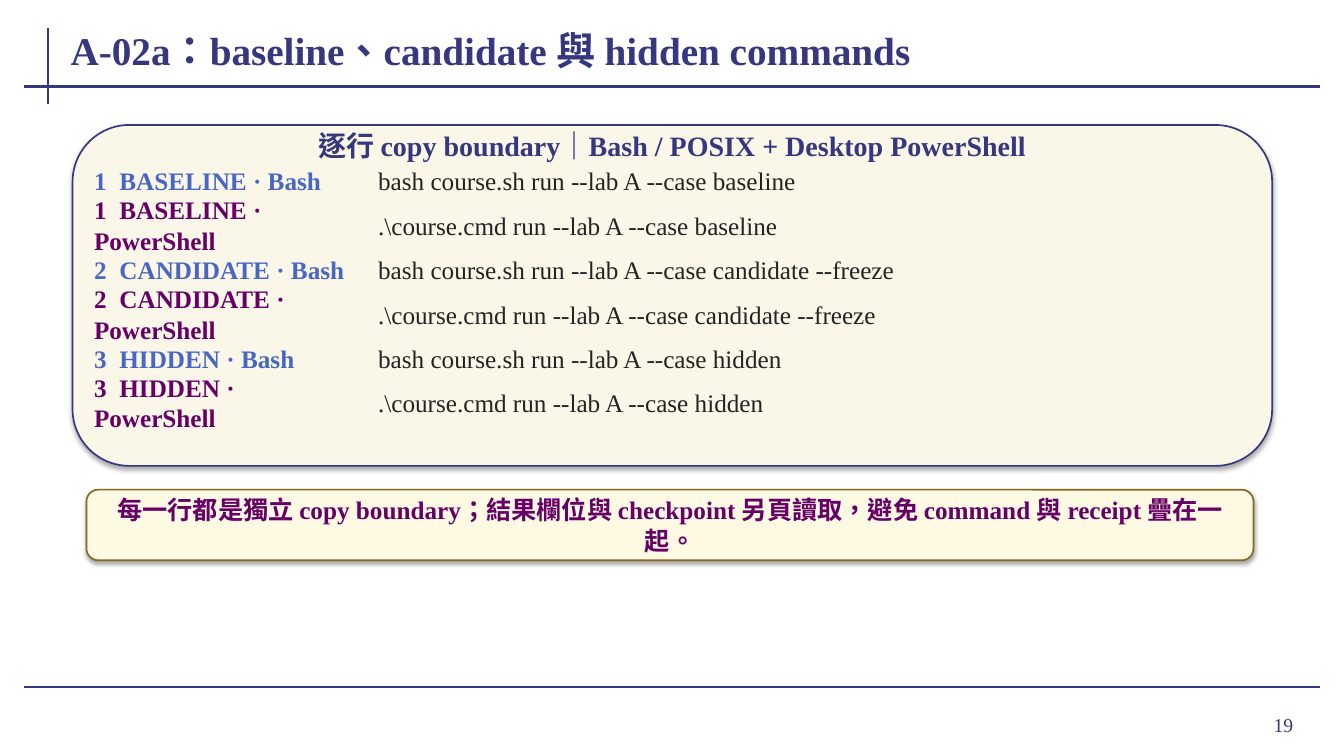
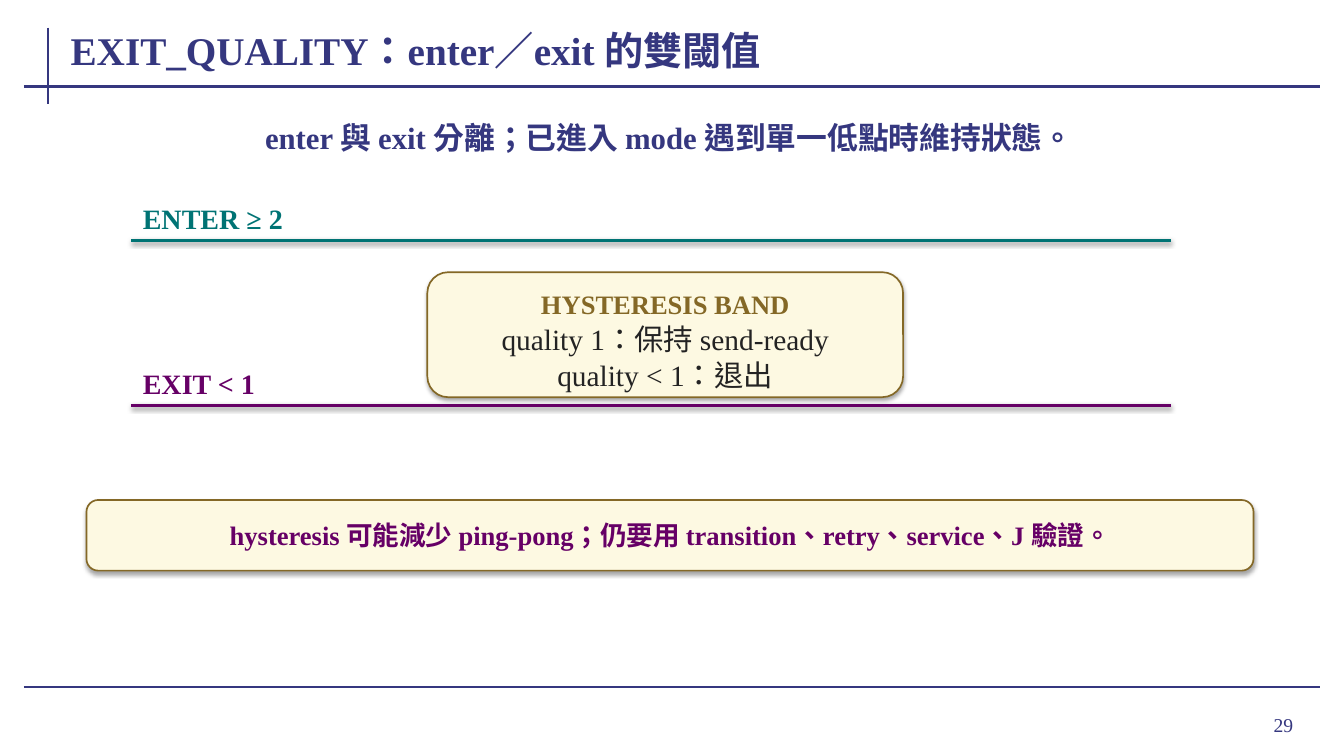
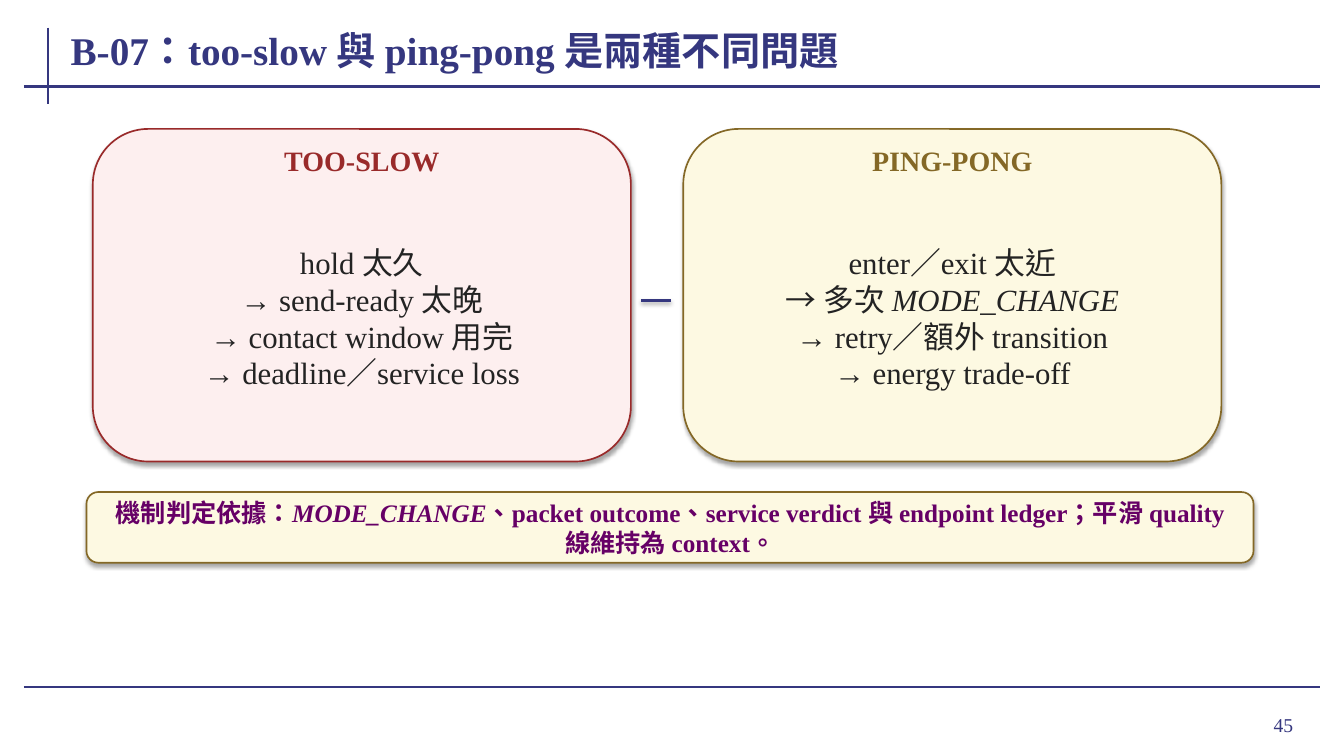
from lxml import etree
from pptx import Presentation
from pptx import util as u
from pptx.dml.color import RGBColor
from pptx.enum import shapes, text
from pptx.enum.lang import MSO_LANGUAGE_ID
from pptx.oxml.ns import qn

Cm = u.Cm
FONT = "Times New Roman"
ITALIC_TERM = "MODE_CHANGE"
COLORS = {
    "navy": "35377F", "blue": "4967C2", "purple": "660066", "teal": "007374",
    "red": "992A2A", "gold": "846826", "ink": "232323", "shadow": "000000",
    "ivory": "FAF7E8", "cream": "FDF9E2", "rose": "FDEFEF",
}
CENTER, LEFT, RIGHT = (text.PP_ALIGN.CENTER, text.PP_ALIGN.LEFT, text.PP_ALIGN.RIGHT)
MIDDLE, TOP = text.MSO_ANCHOR.MIDDLE, text.MSO_ANCHOR.TOP

# Insets in cm: horizontal, vertical
TIGHT, SNUG, ROOMY, NORMAL = (0.03, 0), (0.05, 0), (0.2, 0.1), (0.25, 0.13)

# Shadows: opacity in percent, distance in points
BOX_SHADOW, LINE_SHADOW = (35, 1.8), (38, 1.6)


def rgb(name):
    return RGBColor.from_string(COLORS[name])


def set_attributes(target, values):
    for name, value in values.items():
        setattr(target, name, value)


# Basic elements
def set_shadow(shape, shadow):
    """Replace the theme effect by the given shadow, or by none."""
    effects = etree.SubElement(shape.element.spPr, qn("a:effectLst"))
    if shadow is None:
        return
    opacity, distance = shadow
    outer = etree.SubElement(effects, qn("a:outerShdw"), {
        "blurRad": str(u.Pt(3.1)), "dist": str(u.Pt(distance)),
        "dir": "5400000", "rotWithShape": "0"})
    color = etree.SubElement(outer, qn("a:srgbClr"), val=COLORS["shadow"])
    etree.SubElement(color, qn("a:alpha"), val=str(opacity * 1000))


def add_line(slide, start, end, color, width, shadow=None):
    points = [Cm(value) for value in (*start, *end)]
    line = slide.shapes.add_connector(shapes.MSO_CONNECTOR.STRAIGHT, *points)
    set_attributes(line.line, {"width": u.Pt(width)})
    line.line.color.rgb = rgb(color)
    set_shadow(line, shadow)
    return line


def add_box(slide, box, fill, outline):
    shape = slide.shapes.add_shape(
        shapes.MSO_SHAPE.ROUNDED_RECTANGLE, *map(Cm, box))
    shape.fill.solid()
    shape.fill.fore_color.rgb = rgb(fill)
    shape.line.color.rgb = rgb(outline)
    shape.line.width = u.Pt(1.2)
    set_shadow(shape, BOX_SHADOW)


def add_tab_stop(paragraph, position):
    properties = paragraph._p.get_or_add_pPr()
    tabs = etree.SubElement(properties, qn("a:tabLst"))
    etree.SubElement(tabs, qn("a:tab"), pos=str(Cm(position)), algn="l")


def write_text(shape, lines, size, color, bold=False, align=LEFT,
               anchor=MIDDLE, inset=TIGHT, grow=True, tab=None):
    """Write one paragraph per line, with the event name in italics."""
    horizontal, vertical = map(Cm, inset)
    frame = shape.text_frame
    fit = text.MSO_AUTO_SIZE
    set_attributes(frame, {
        "word_wrap": True, "vertical_anchor": anchor,
        "auto_size": fit.SHAPE_TO_FIT_TEXT if grow else fit.NONE,
        "margin_left": horizontal, "margin_right": horizontal,
        "margin_top": vertical, "margin_bottom": vertical})
    for index, line in enumerate(lines):
        paragraph = frame.add_paragraph() if index else frame.paragraphs[0]
        paragraph.alignment = align
        if tab:
            add_tab_stop(paragraph, tab)
        for part in filter(None, line.partition(ITALIC_TERM)):
            run = paragraph.add_run()
            run.text = part
            set_attributes(run.font, {
                "name": FONT, "size": u.Pt(size), "bold": bold,
                "italic": part == ITALIC_TERM,
                "language_id": MSO_LANGUAGE_ID.TRADITIONAL_CHINESE})
            run.font.color.rgb = rgb(color)


def add_text(slide, box, lines, size, color, **style):
    shape = slide.shapes.add_textbox(*map(Cm, box))
    write_text(shape, lines, size, color, **style)


# Shared parts
def add_frame_lines(slide, layout):
    """Draw the rules and move them to the layout, where all slides share them."""
    for start, end in (((1.2, 0.7), (1.2, 2.62)),
                       ((0.6, 2.18), (33.27, 2.18)),
                       ((0.6, 17.32), (33.27, 17.32))):
        line = add_line(slide, start, end, "navy", 1.5)
        layout.shapes.element.append(line.element)


def add_slide(presentation, title, number):
    layout = presentation.slide_layouts[5]
    slide = presentation.slides.add_slide(layout)
    if len(presentation.slides) == 1:
        add_frame_lines(slide, layout)
    heading = slide.shapes.title
    set_attributes(heading, {"left": Cm(1.73), "top": Cm(0.46),
                             "width": Cm(30.35), "height": Cm(1.57)})
    write_text(heading, [title], 28, "navy", bold=True, inset=SNUG, grow=False)
    add_text(slide, (30.38, 17.6, 2.46, 1.32), [str(number)], 14, "navy",
             align=RIGHT, inset=NORMAL, grow=False)
    return slide


def add_conclusion(slide, top, line, size=18):
    add_box(slide, (2.18, top, 29.41, 1.78), "cream", "gold")
    add_text(slide, (2.64, top + 0.18, 28.5, 1.42), [line], size, "purple",
             bold=True, align=CENTER, inset=SNUG)


def add_card(slide, box, fill, color, heading, lines, heading_size, size, body):
    """Box with a heading; body is the top and height of its text area."""
    left, top, width, _ = box
    body_top, body_height = body
    add_box(slide, box, fill, color)
    add_text(slide, (left + 0.46, top + 0.41, width - 0.92, 0.76), [heading],
             heading_size, color, bold=True, align=CENTER)
    add_text(slide, (left + 0.51, body_top, width - 1.02, body_height), lines,
             size, "ink", align=CENTER, inset=ROOMY)


# Slides
def build_commands(presentation):
    slide = add_slide(presentation, "A-02a：baseline、candidate 與 hidden commands", 19)
    add_box(slide, (1.83, 3.15, 30.23, 8.59), "ivory", "navy")
    add_text(slide, (2.39, 3.35, 29.1, 0.61),
             ["逐行 copy boundary｜Bash / POSIX + Desktop PowerShell"],
             20, "navy", bold=True, align=CENTER)
    shells = (("Bash", "bash course.sh", "blue"),
              ("PowerShell", ".\\course.cmd", "purple"))
    cases = ("baseline", "candidate", "hidden")
    rows = [(number, case, shell) for number, case in enumerate(cases, 1)
            for shell in shells]
    for index, (number, case, (shell, launcher, color)) in enumerate(rows):
        top = 4.17 + 1.12 * index
        option = " --freeze" if case == "candidate" else ""
        add_text(slide, (2.34, top, 6.76, 0.76),
                 [f"{number}\t{case.upper()} · {shell}"], 18, color,
                 bold=True, tab=0.64)
        add_text(slide, (9.5, top, 22.86, 0.76),
                 [f"{launcher} run --lab A --case {case}{option}"], 18, "ink")
    add_conclusion(slide, 12.34, "每一行都是獨立 copy boundary；結果欄位與 checkpoint "
                   "另頁讀取，避免 command 與 receipt 疊在一起。")


def build_thresholds(presentation):
    slide = add_slide(presentation, "EXIT_QUALITY：enter／exit 的雙閾值", 29)
    add_text(slide, (2.54, 3, 28.65, 0.91),
             ["enter 與 exit 分離；已進入 mode 遇到單一低點時維持狀態。"],
             22, "navy", bold=True, align=CENTER, inset=ROOMY)
    for label, level, color in (("ENTER ≥ 2", 6.05, "teal"),
                                ("EXIT < 1", 10.21, "purple")):
        add_line(slide, (3.3, level), (29.51, level), color, 2, LINE_SHADOW)
        add_text(slide, (3.4, level - 1.07, 6.3, 0.71), [label], 20, color,
                 bold=True, anchor=TOP, inset=ROOMY)
    add_card(slide, (10.77, 6.86, 11.99, 3.15), "cream", "gold", "HYSTERESIS BAND",
             ["quality 1：保持 send-ready", "quality < 1：退出"],
             19, 21, (8.33, 1.32))
    add_conclusion(slide, 12.6, "hysteresis 可能減少 ping-pong；仍要用 "
                   "transition、retry、service、J 驗證。", 19)


def build_failure_modes(presentation):
    slide = add_slide(presentation, "B-07：too-slow 與 ping-pong 是兩種不同問題", 45)
    cards = (
        ("TOO-SLOW", "rose", "red",
         ["hold 太久", "→ send-ready 太晚", "→ contact window 用完",
          "→ deadline／service loss"]),
        ("PING-PONG", "cream", "gold",
         ["enter／exit 太近", "→ 多次 MODE_CHANGE", "→ retry／額外 transition",
          "→ energy trade-off"]),
    )
    for index, (heading, fill, color, lines) in enumerate(cards):
        add_card(slide, (2.34 + 14.88 * index, 3.25, 13.56, 8.38), fill, color,
                 heading, lines, 20, 22, (4.72, 6.55))
    add_line(slide, (16.15, 7.57), (16.92, 7.57), "navy", 1.8, LINE_SHADOW)
    add_conclusion(slide, 12.4, "機制判定依據：MODE_CHANGE、packet outcome、service verdict "
                   "與 endpoint ledger；平滑 quality 線維持為 context。")


def main():
    presentation = Presentation()
    set_attributes(presentation, {"slide_width": Cm(33.87), "slide_height": Cm(19.05)})
    build_commands(presentation)
    build_thresholds(presentation)
    build_failure_modes(presentation)
    presentation.save("out.pptx")


if __name__ == "__main__":
    main()
